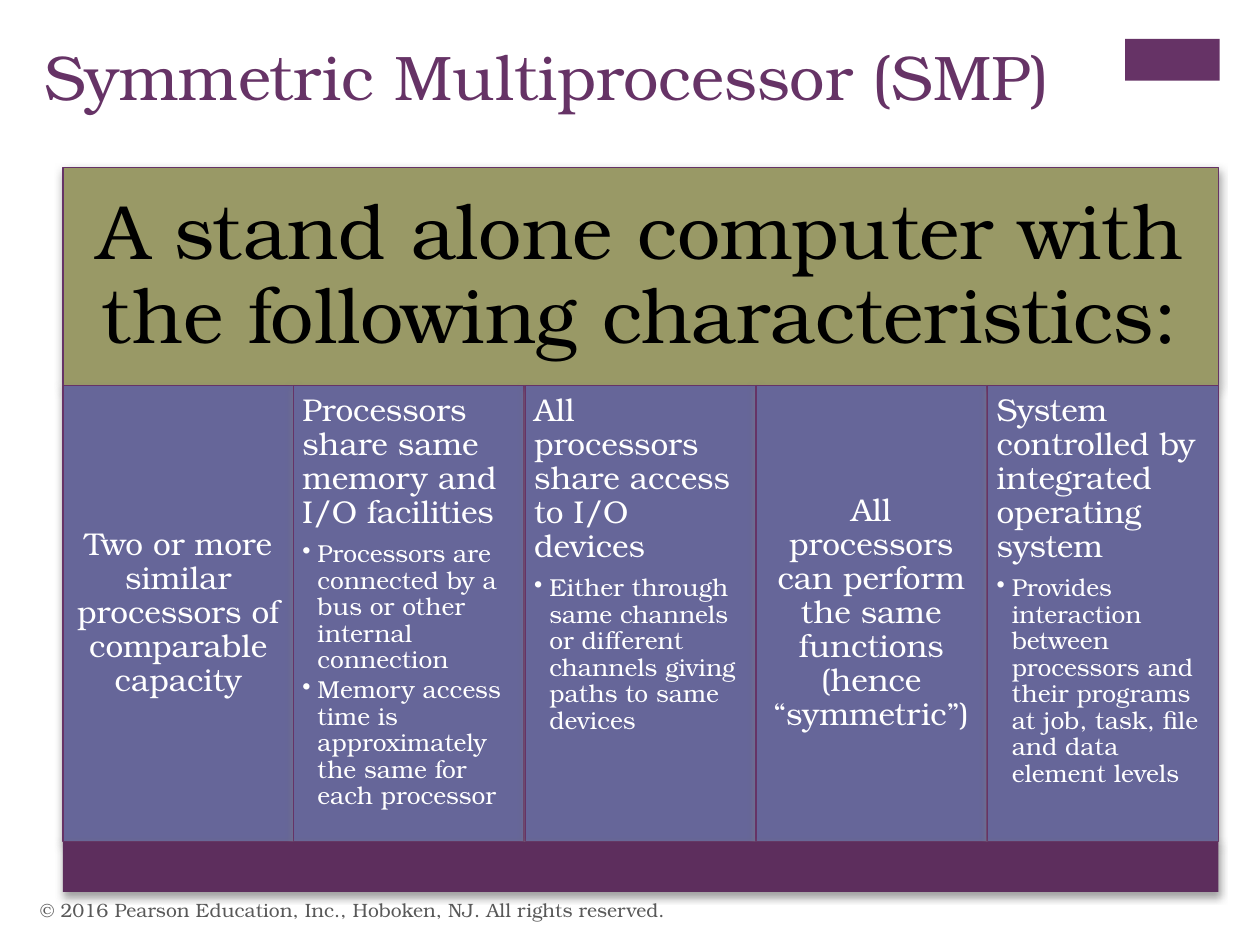
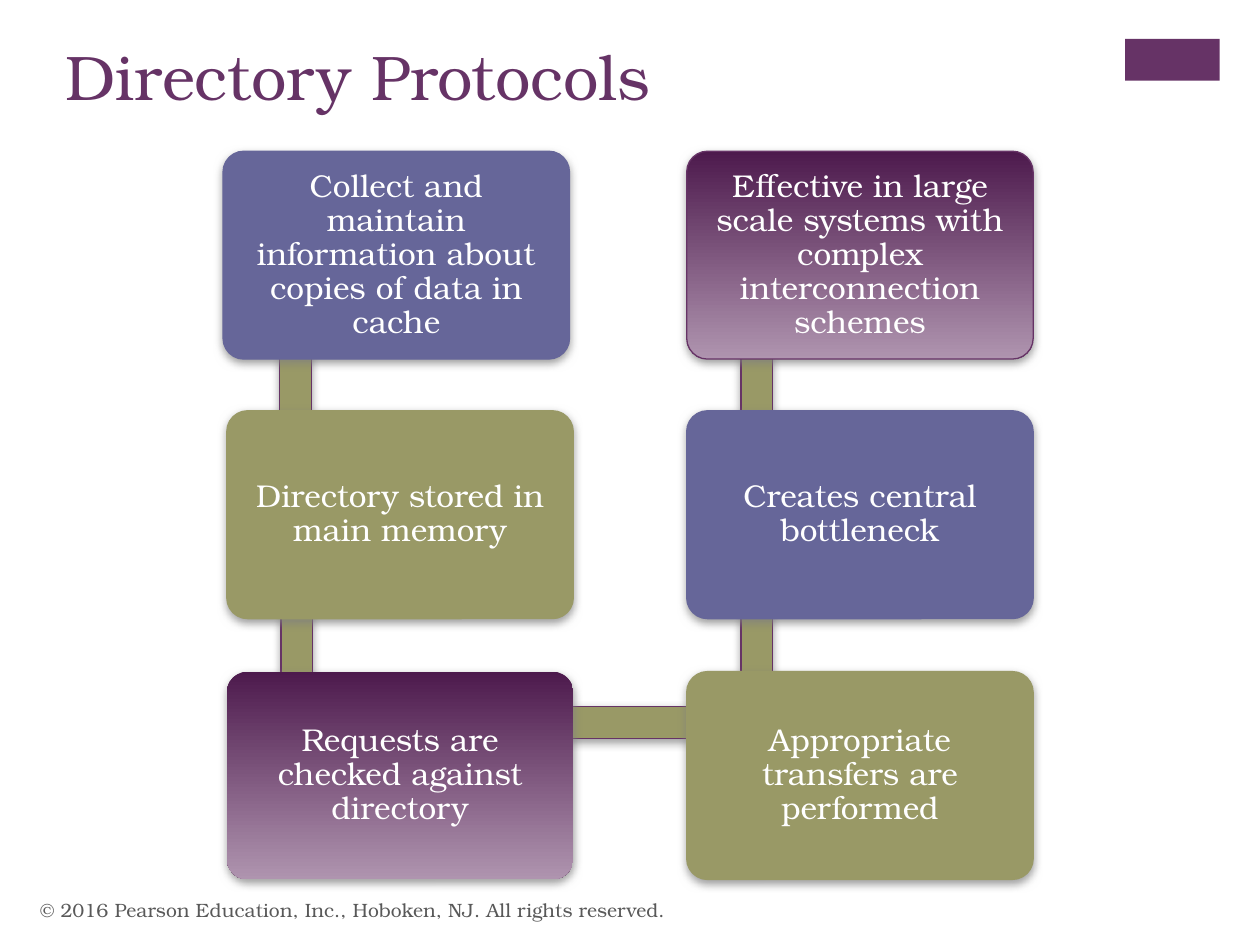
from lxml import etree
from pptx import Presentation
from pptx.dml.color import RGBColor
from pptx.enum.shapes import MSO_SHAPE
from pptx.enum.text import MSO_ANCHOR, MSO_AUTO_SIZE, PP_ALIGN
from pptx.oxml import parse_xml
from pptx.oxml.ns import nsdecls, qn
from pptx.util import Pt

PX = 9144
FONT = "TeX Gyre Bonum"
PURPLE = RGBColor(0x66, 0x33, 0x66)
DARK_PURPLE = RGBColor(0x5D, 0x2E, 0x5D)
GRADIENT_TOP = RGBColor(0x4D, 0x1A, 0x4D)
GRADIENT_BOTTOM = RGBColor(0xAF, 0x94, 0xAF)
BLUE = RGBColor(0x66, 0x66, 0x99)
OLIVE = RGBColor(0x99, 0x99, 0x66)
GRAY = RGBColor(0x59, 0x59, 0x59)
BLACK = RGBColor(0x00, 0x00, 0x00)
WHITE = RGBColor(0xFF, 0xFF, 0xFF)
RECTANGLE = MSO_SHAPE.RECTANGLE
ROUNDED = MSO_SHAPE.ROUNDED_RECTANGLE
LEFT, CENTER = PP_ALIGN.LEFT, PP_ALIGN.CENTER
TOP, MIDDLE = MSO_ANCHOR.TOP, MSO_ANCHOR.MIDDLE
NO_AUTOFIT = MSO_AUTO_SIZE.NONE
SHADOW = (
    f'<a:outerShdw {nsdecls("a")} blurRad="63500" dist="25400" dir="5400000" rotWithShape="0">'
    '<a:srgbClr val="808080"><a:alpha val="75000"/></a:srgbClr></a:outerShdw>'
)


def add_block(slide, kind, box, fill, line=None, shadow=True):
    shape = slide.shapes.add_shape(kind, *(value * PX for value in box))
    shape.shadow.inherit = False
    if shadow:
        shape._element.spPr.find(qn("a:effectLst")).append(parse_xml(SHADOW))
    if fill is None:
        shape.fill.gradient()
        shape.fill.gradient_angle = 270
        for stop, color in zip(shape.fill.gradient_stops, (GRADIENT_TOP, GRADIENT_BOTTOM)):
            stop.color.rgb = color
    else:
        shape.fill.solid()
        shape.fill.fore_color.rgb = fill
    if line is None:
        shape.line.fill.background()
    else:
        shape.line.color.rgb = line
        shape.line.width = Pt(0.75)
    return shape


def write_text(shape, lines, size, color, inset=7, align=CENTER, anchor=MIDDLE):
    frame = shape.text_frame
    frame.word_wrap = True
    frame.vertical_anchor = anchor
    frame.margin_left = frame.margin_right = inset * PX
    frame.margin_top = frame.margin_bottom = inset * PX
    frame.text = "\n".join(lines)
    for index, paragraph in enumerate(frame.paragraphs):
        paragraph.alignment = align
        paragraph.line_spacing = 0.9
        paragraph.space_after = Pt(size * 0.35)
        run_size = size
        if index:
            run_size = 14
            paragraph.space_after = Pt(2.1)
            properties = paragraph._p.get_or_add_pPr()
            properties.set("marL", str(12 * PX))
            properties.set("indent", str(-12 * PX))
            etree.SubElement(properties, qn("a:buChar")).set("char", "•")
        for run in paragraph.runs:
            run.font.name = FONT
            run.font.size = Pt(run_size)
            run.font.color.rgb = color


presentation = Presentation()
presentation.slide_width = 1000 * PX
presentation.slide_height = 750 * PX

slides = []
for title_text, title_left in (("Symmetric Multiprocessor (SMP)", 25), ("Directory Protocols", 42)):
    slide = presentation.slides.add_slide(presentation.slide_layouts[5])
    slides.append(slide)
    add_block(slide, RECTANGLE, (893, 31, 75, 33), PURPLE, shadow=False)
    title = slide.shapes.title
    title.left, title.top = title_left * PX, 25 * PX
    title.width, title.height = 826 * PX, 122 * PX
    title.text_frame.text = title_text
    title.text_frame.vertical_anchor = TOP
    title.text_frame.auto_size = NO_AUTOFIT
    paragraph = title.text_frame.paragraphs[0]
    paragraph.alignment = LEFT
    font = paragraph.runs[0].font
    font.name, font.size, font.color.rgb = FONT, Pt(36), PURPLE

smp_slide, directory_slide = slides

header = add_block(smp_slide, RECTANGLE, (50, 133, 917, 173), OLIVE, PURPLE)
write_text(header, ["A stand alone computer with the following characteristics:"], 44, BLACK, inset=18)
characteristics = [
    ["Two or more similar processors of comparable capacity"],
    [
        "Processors share same memory and I/O facilities",
        "Processors are connected by a bus or other internal connection",
        "Memory access time is approximately the same for each processor",
    ],
    [
        "All processors share access to I/O devices",
        "Either through same channels or different channels giving paths to same devices",
    ],
    ["All processors can perform the same functions (hence “symmetric”)"],
    [
        "System controlled by integrated operating system",
        "Provides interaction between processors and their programs at job, task, file and data element levels",
    ],
]
for index, lines in enumerate(characteristics):
    left = 50 + round(index * 917 / 5)
    column = add_block(smp_slide, RECTANGLE, (left, 306, 183, 362), BLUE, PURPLE)
    if len(lines) > 1:
        write_text(column, lines, 18, WHITE, align=LEFT, anchor=TOP)
    else:
        write_text(column, lines, 18, WHITE)
add_block(smp_slide, RECTANGLE, (50, 668, 917, 40), DARK_PURPLE)

link_bars = [
    (222, 160, 25, 206),
    (223, 367, 25, 205),
    (236, 561, 365, 25),
    (588, 367, 25, 205),
    (588, 160, 25, 206),
]
for bar in link_bars:
    add_block(directory_slide, RECTANGLE, bar, OLIVE, PURPLE)

steps = [
    (177, 120, BLUE, BLUE, "Collect and maintain information about copies of data in cache"),
    (180, 326, OLIVE, OLIVE, "Directory stored in main memory"),
    (180, 533, None, None, "Requests are checked against directory"),
    (545, 533, OLIVE, OLIVE, "Appropriate transfers are performed"),
    (545, 326, BLUE, BLUE, "Creates central bottleneck"),
    (545, 120, None, PURPLE, "Effective in large scale systems with complex interconnection schemes"),
]
for left, top, fill, line, text in steps:
    step = add_block(directory_slide, ROUNDED, (left, top, 275, 165), fill, line)
    step.adjustments[0] = 0.1
    write_text(step, [text], 18, WHITE)

for slide in slides:
    footer = slide.shapes.add_textbox(22 * PX, 702 * PX, 670 * PX, 40 * PX)
    footer.text_frame.word_wrap = True
    footer.text_frame.vertical_anchor = MIDDLE
    footer.text_frame.text = "© 2016 Pearson Education, Inc., Hoboken, NJ. All rights reserved."
    font = footer.text_frame.paragraphs[0].runs[0].font
    font.name, font.size, font.color.rgb = FONT, Pt(11), GRAY

presentation.save("out.pptx")
